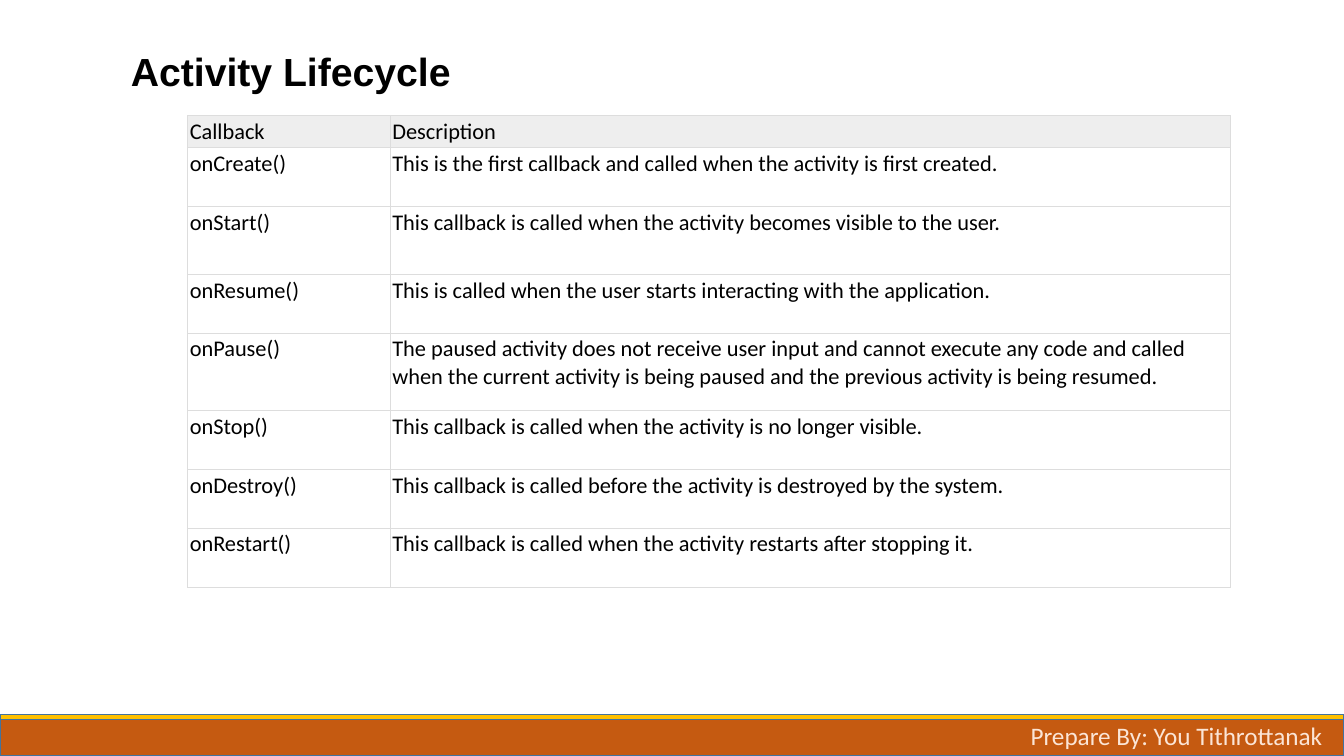
from typing import Any, NamedTuple

from lxml import etree
from pptx import Presentation
from pptx.dml.color import RGBColor
from pptx.enum import shapes, text
from pptx.oxml import ns
from pptx.util import Pt

HUES = {
    "band": "C55A11", "stripe": "FFC000", "edge": "43739E",
    "ink": "000000", "credit": "FBE5D6",
    "head": "EEEEEE", "cell": "FFFFFF", "rule": "DDDDDD",
}


class Box(NamedTuple):
    left: float
    top: float
    width: float
    height: float


class Bar(NamedTuple):
    box: Box
    hue: str


class Label(NamedTuple):
    box: Box
    words: str
    hue: str
    font: dict[str, Any]
    frame: dict[str, Any]
    para: dict[str, Any]


class Row(NamedTuple):
    height: float
    name: str
    about: str
    hue: str = "cell"


BARS = [
    Bar(Box(0, 510.4, 960, 29.6), "band"),
    Bar(Box(0, 510.4, 960, 3.4), "stripe"),
]

LABELS = [
    Label(Box(86.4, 22.3, 792, 60.5), "Activity Lifecycle", "ink",
          {"name": "Arial", "size": Pt(28), "bold": True},
          {"vertical_anchor": text.MSO_ANCHOR.MIDDLE}, {"line_spacing": 0.9}),
    Label(Box(729, 511.2, 231, 29), "Prepare By: You Tithrottanak", "credit",
          {"name": "Calibri", "size": Pt(18)}, {}, {}),
]

GRID = Box(134.1, 82.8, 744.5, 337)
COLS = [144.7, 599.8]
ROWS = [
    Row(22.8, "Callback", "Description", "head"),
    Row(42.1, "onCreate()",
        "This is the first callback and called when the activity is first created."),
    Row(48.5, "onStart()",
        "This callback is called when the activity becomes visible to the user."),
    Row(42.1, "onResume()",
        "This is called when the user starts interacting with the application."),
    Row(55.1, "onPause()",
        "The paused activity does not receive user input and cannot execute any code "
        "and called when the current activity is being paused and the previous "
        "activity is being resumed."),
    Row(42.1, "onStop()",
        "This callback is called when the activity is no longer visible."),
    Row(42.1, "onDestroy()",
        "This callback is called before the activity is destroyed by the system."),
    Row(42.1, "onRestart()",
        "This callback is called when the activity restarts after stopping it."),
]
CELL_FONT = {"name": "Calibri", "size": Pt(16)}
INSETS = {f"margin_{side}": Pt(1.5) for side in ("left", "right", "top", "bottom")}
PLAIN = {"first_row": False, "horz_banding": False}


def rgb(hue: str) -> RGBColor:
    return RGBColor.from_string(HUES[hue])


def pts(box: Box) -> list[Pt]:
    return [Pt(size) for size in box]


def apply(target: Any, values: dict[str, Any]) -> None:
    for key, value in values.items():
        setattr(target, key, value)


def paint(target: Any, hue: str) -> None:
    """Give a shape or cell a solid fill."""
    target.fill.solid()
    target.fill.fore_color.rgb = rgb(hue)


def write(para: Any, words: str, hue: str, font: dict[str, Any]) -> None:
    run = para.add_run()
    run.text = words
    apply(run.font, font)
    run.font.color.rgb = rgb(hue)


def draw_bar(slide: Any, bar: Bar) -> None:
    shape = slide.shapes.add_shape(shapes.MSO_SHAPE.RECTANGLE, *pts(bar.box))
    shape.shadow.inherit = False
    paint(shape, bar.hue)
    shape.line.color.rgb = rgb("edge")
    shape.line.width = Pt(1)


def draw_label(slide: Any, label: Label) -> None:
    frame = slide.shapes.add_textbox(*pts(label.box)).text_frame
    apply(frame, {"word_wrap": True, **label.frame})
    para = frame.paragraphs[0]
    apply(para, label.para)
    write(para, label.words, label.hue, label.font)


def rule_cell(cell: Any) -> None:
    """Draw thin borders on all four sides; call before filling the cell."""
    props = cell._tc.get_or_add_tcPr()
    for side in "LRTB":
        line = etree.SubElement(props, ns.qn(f"a:ln{side}"), w=str(Pt(0.75)))
        fill = etree.SubElement(line, ns.qn("a:solidFill"))
        etree.SubElement(fill, ns.qn("a:srgbClr"), val=HUES["rule"])


def draw_table(slide: Any) -> None:
    table = slide.shapes.add_table(len(ROWS), len(COLS), *pts(GRID)).table
    apply(table, PLAIN)
    for col, width in zip(table.columns, COLS):
        col.width = Pt(width)
    for line, row in zip(table.rows, ROWS):
        line.height = Pt(row.height)
        for cell, words in zip(line.cells, (row.name, row.about)):
            apply(cell, INSETS)
            rule_cell(cell)
            paint(cell, row.hue)
            write(cell.text_frame.paragraphs[0], words, "ink", CELL_FONT)


def main() -> None:
    deck = Presentation()
    apply(deck, {"slide_width": Pt(960), "slide_height": Pt(540)})
    slide = deck.slides.add_slide(deck.slide_layouts[6])
    for bar in BARS:
        draw_bar(slide, bar)
    draw_table(slide)
    for label in LABELS:
        draw_label(slide, label)
    deck.save("out.pptx")


if __name__ == "__main__":
    main()
